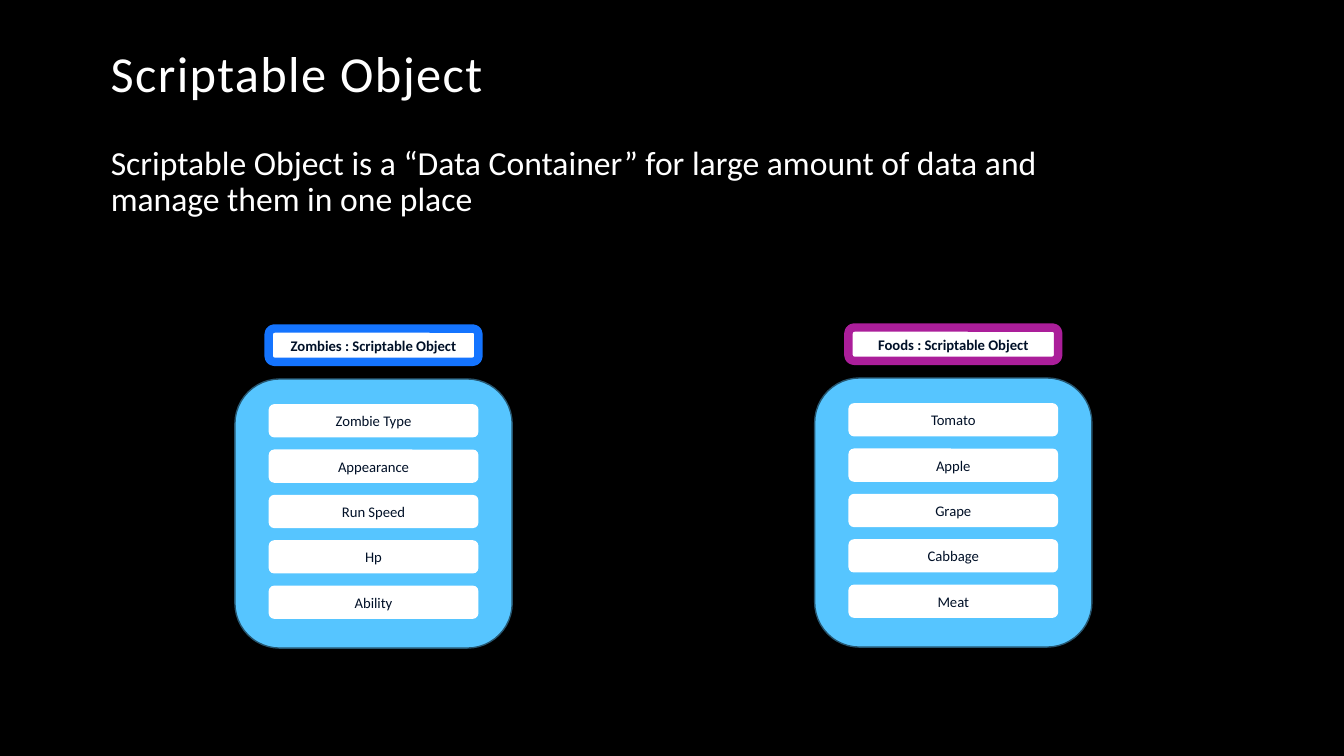
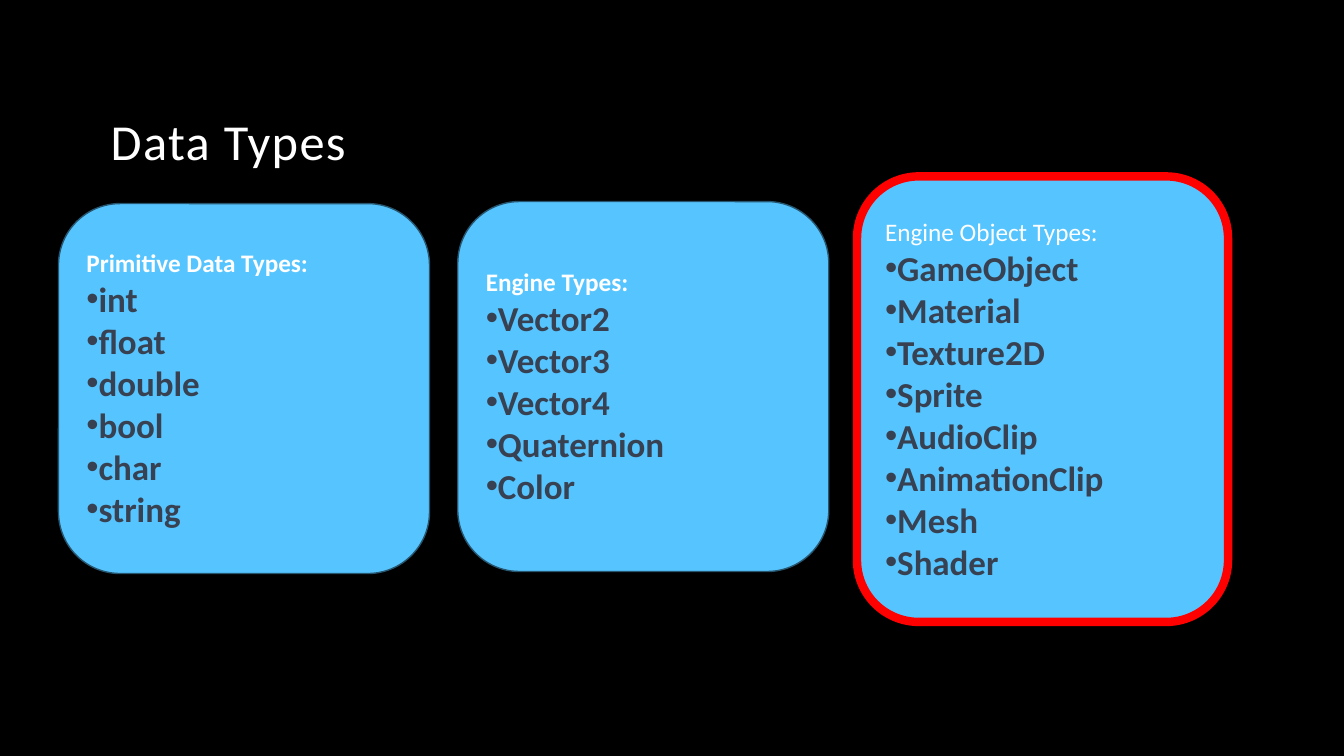
"""Build two slides on scriptable objects and the data types they hold."""
from dataclasses import dataclass

from lxml.etree import SubElement
from pptx import Presentation
from pptx.dml.color import RGBColor
from pptx.enum.shapes import MSO_SHAPE as SHAPE
from pptx.enum.text import MSO_ANCHOR as ANCHOR, PP_ALIGN as ALIGN
from pptx.oxml.ns import qn
from pptx.util import Inches, Pt


@dataclass(frozen=True)
class Theme:
    font: str = "Calibri"
    back: str = "000000"
    white: str = "FFFFFF"
    panel: str = "56C5FF"
    edge: str = "265670"
    ink: str = "001027"
    item: str = "374151"
    blue: str = "1474FF"
    purple: str = "AB1E9A"
    red: str = "FF0000"
    title_size: float = 36
    body_size: float = 24
    heading_size: float = 18
    item_size: float = 25
    label_size: float = 10.5
    thin: float = 1
    thick: float = 6


T = Theme()

INTRO = ("Scriptable Object is a “Data Container” for large amount of data and "
         "manage them in one place")

CONTAINERS = [
    ("Zombies : Scriptable Object", T.blue, 2.33, 3.76,
     ["Zombie Type", "Appearance", "Run Speed", "Hp", "Ability"]),
    ("Foods : Scriptable Object", T.purple, 8.08, 3.75,
     ["Tomato", "Apple", "Grape", "Cabbage", "Meat"]),
]

TYPE_GROUPS = [
    ("Primitive Data Types:", True, 2.02, 3.67, T.edge, T.thin,
     ["int", "float", "double", "bool", "char", "string"]),
    ("Engine Types:", True, 2, 3.67, T.edge, T.thin,
     ["Vector2", "Vector3", "Vector4", "Quaternion", "Color"]),
    ("Engine Object Types:", False, 1.75, 4.42, T.red, T.thick,
     ["GameObject", "Material", "Texture2D", "Sprite", "AudioClip",
      "AnimationClip", "Mesh", "Shader"]),
]

PANEL_W, PANEL_H = 2.75, 2.67
ROW_W, ROW_H, ROW_STEP = 2.08, 0.33, 0.45
ROW_TOP, LABEL_RISE = 0.25, 0.5
GROUP_LEFT, GROUP_W, GROUP_STEP = 0.58, 3.68, 3.96


def rgb(code):
    return RGBColor.from_string(code)


def add_run(p, text, size, color, bold=False):
    r = p.add_run()
    r.text = text
    r.font.name = T.font
    r.font.size = Pt(size)
    r.font.bold = bold
    r.font.color.rgb = rgb(color)
    return r


def add_text(slide, box, text, size, anchor):
    tf = slide.shapes.add_textbox(*map(Inches, box)).text_frame
    tf.word_wrap = True
    tf.vertical_anchor = anchor
    p = tf.paragraphs[0]
    p.line_spacing = 0.9
    return add_run(p, text, size, T.white)


def add_title(slide, text, top, height):
    r = add_text(slide, (1, top, 10, height), text, T.title_size, ANCHOR.BOTTOM)
    r.font._element.set("spc", "100")


def add_card(slide, box, fill, line=None, width=T.thin):
    sp = slide.shapes.add_shape(SHAPE.ROUNDED_RECTANGLE, *map(Inches, box))
    sp.shadow.inherit = False
    sp.fill.solid()
    sp.fill.fore_color.rgb = rgb(fill)
    if line:
        sp.line.color.rgb = rgb(line)
        sp.line.width = Pt(width)
    else:
        sp.line.fill.background()
    tf = sp.text_frame
    tf.word_wrap = True
    tf.vertical_anchor = ANCHOR.MIDDLE
    return tf


def add_label(slide, box, text, line=None, bold=False):
    p = add_card(slide, box, T.white, line, T.thick).paragraphs[0]
    p.alignment = ALIGN.CENTER
    add_run(p, text, T.label_size, T.ink, bold)


def add_bullet(p):
    pPr = p._p.get_or_add_pPr()
    pPr.set("marL", "0")
    pPr.set("indent", "0")
    SubElement(pPr, qn("a:buFont")).set("typeface", "Arial")
    SubElement(pPr, qn("a:buChar")).set("char", "•")


def add_container(slide, name, accent, left, top, rows):
    add_card(slide, (left, top, PANEL_W, PANEL_H), T.panel, T.edge)
    row_left = left + (PANEL_W - ROW_W) / 2
    add_label(slide, (row_left, top - LABEL_RISE, ROW_W, ROW_H), name, accent, True)
    for i, text in enumerate(rows):
        row_top = top + ROW_TOP + i * ROW_STEP
        add_label(slide, (row_left, row_top, ROW_W, ROW_H), text)


def add_type_group(slide, left, heading, bold, top, height, line, width, items):
    tf = add_card(slide, (left, top, GROUP_W, height), T.panel, line, width)
    p = tf.paragraphs[0]
    p.alignment = ALIGN.LEFT
    add_run(p, heading, T.heading_size, T.white, bold)
    for item in items:
        p = tf.add_paragraph()
        p.alignment = ALIGN.LEFT
        add_bullet(p)
        add_run(p, item, T.item_size, T.item, True)


def main():
    prs = Presentation()
    prs.slide_width, prs.slide_height = Inches(13.33), Inches(7.5)
    back = prs.slide_master.background.fill
    back.solid()
    back.fore_color.rgb = rgb(T.back)
    blank = prs.slide_layouts[6]

    slide = prs.slides.add_slide(blank)
    add_title(slide, "Scriptable Object", 0.33, 0.75)
    add_text(slide, (1, 1.4, 10.08, 1.42), INTRO, T.body_size, ANCHOR.TOP)
    for container in CONTAINERS:
        add_container(slide, *container)

    slide = prs.slides.add_slide(blank)
    add_title(slide, "Data Types", 0.25, 1.5)
    for i, group in enumerate(TYPE_GROUPS):
        add_type_group(slide, GROUP_LEFT + i * GROUP_STEP, *group)

    prs.save("out.pptx")


if __name__ == "__main__":
    main()
